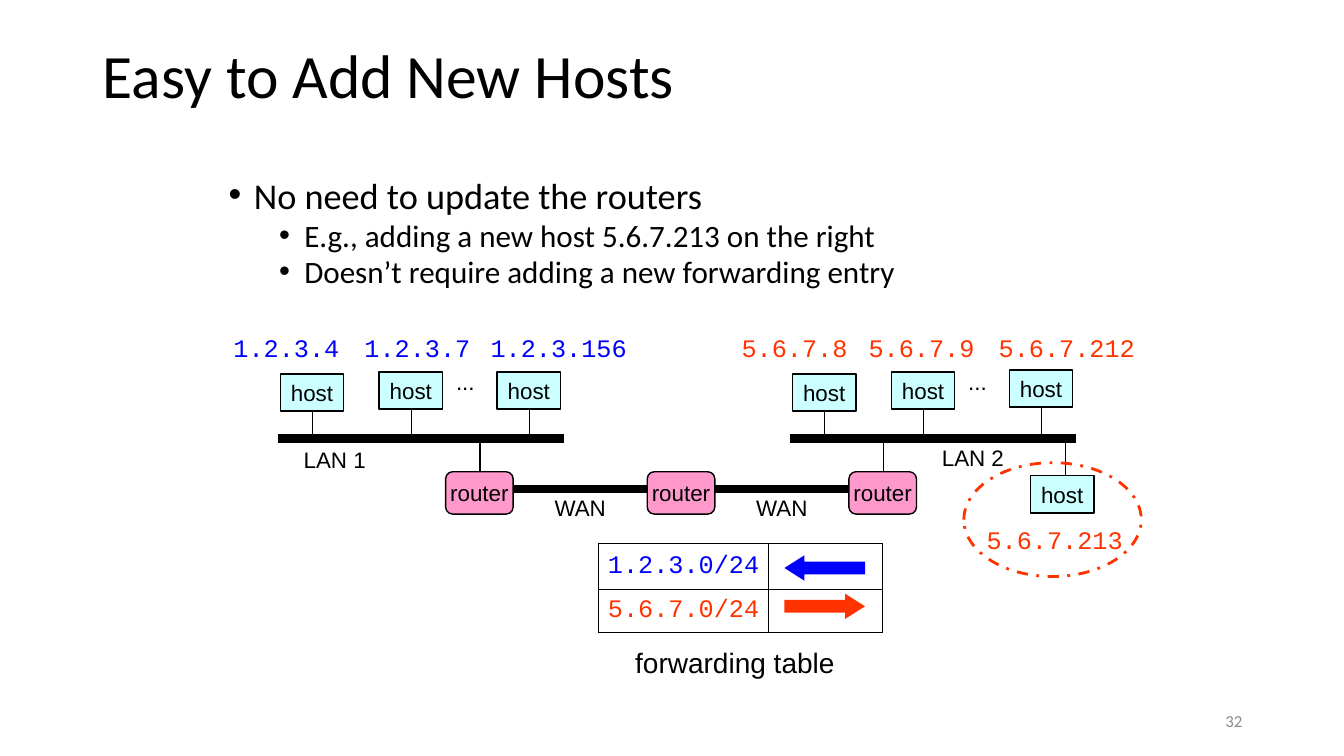
from lxml import etree
from pptx import Presentation
from pptx.dml.color import RGBColor
from pptx.enum.dml import MSO_LINE
from pptx.enum.shapes import MSO_CONNECTOR, MSO_SHAPE as SHAPE
from pptx.enum.text import MSO_ANCHOR as ANCHOR, PP_ALIGN as ALIGN
from pptx.oxml import parse_xml
from pptx.oxml.ns import nsdecls, qn
from pptx.util import Inches, Pt

COLORS = {
    "text": "000000", "number": "8C8C8C", "host": "CCFFFF",
    "router": "FF99CC", "left": "0000FF", "right": "FF3300",
}
HOST_W, HOST_H = 0.63, 0.37
ROUTER_W, ROUTER_H = 0.67, 0.42


def color(name):
    return RGBColor.from_string(COLORS[name])


def style(p, size, font="Arial", ink="text", align=ALIGN.CENTER):
    p.alignment = align
    p.font.size = Pt(size)
    p.font.name = font
    p.font.color.rgb = color(ink)


def add_text(slide, text, x, y, w, h, size=16, font="Arial", ink="text",
             align=ALIGN.CENTER, anchor=ANCHOR.MIDDLE):
    tf = slide.shapes.add_textbox(Inches(x), Inches(y), Inches(w), Inches(h)).text_frame
    tf.word_wrap = False
    tf.vertical_anchor = anchor
    tf.text = text
    style(tf.paragraphs[0], size, font, ink, align)


def add_address(slide, text, center, y, ink):
    w = 0.2 + 0.15 * len(text)
    add_text(slide, text, center - w / 2, y, w, 0.4, 18, "Courier New", ink,
             anchor=ANCHOR.TOP)


def add_line(slide, x1, y1, x2, y2, width=1):
    line = slide.shapes.add_connector(
        MSO_CONNECTOR.STRAIGHT, Inches(x1), Inches(y1), Inches(x2), Inches(y2))
    line.line.color.rgb = color("text")
    line.line.width = Pt(width)
    etree.SubElement(line._element.spPr, qn("a:effectLst"))


def add_shape(slide, kind, x, y, w, h, fill=None, outline=None, width=1):
    sp = slide.shapes.add_shape(kind, Inches(x), Inches(y), Inches(w), Inches(h))
    sp.shadow.inherit = False
    if fill:
        sp.fill.solid()
        sp.fill.fore_color.rgb = color(fill)
    else:
        sp.fill.background()
    if outline:
        sp.line.color.rgb = color(outline)
        sp.line.width = Pt(width)
    else:
        sp.line.fill.background()
    return sp


def add_node(slide, kind, text, x, y, w, h):
    """Add a labelled network device, filled with the colour of its name."""
    sp = add_shape(slide, kind, x, y, w, h, text, "text")
    tf = sp.text_frame
    tf.word_wrap = False
    tf.vertical_anchor = ANCHOR.MIDDLE
    tf.text = text
    style(tf.paragraphs[0], 16)


def add_host(slide, x, y):
    add_node(slide, SHAPE.RECTANGLE, "host", x, y, HOST_W, HOST_H)


def add_title(slide, x, y, w, h):
    title = slide.shapes.title
    title.left, title.top, title.width, title.height = map(Inches, (x, y, w, h))
    tf = title.text_frame
    tf.vertical_anchor = ANCHOR.TOP
    tf.text = "Easy to Add New Hosts"
    style(tf.paragraphs[0], 44, "Calibri", align=ALIGN.LEFT)
    tf.paragraphs[0].line_spacing = 0.9


def add_bullets(slide, x, y, w, h):
    tf = slide.shapes.add_textbox(Inches(x), Inches(y), Inches(w), Inches(h)).text_frame
    tf.word_wrap = True
    items = [
        (0, "No need to update the routers"),
        (1, "E.g., adding a new host 5.6.7.213 on the right"),
        (1, "Doesn’t require adding a new forwarding entry"),
    ]
    for i, (level, text) in enumerate(items):
        p = tf.add_paragraph() if i else tf.paragraphs[0]
        p.text = text
        p.level = level
        style(p, (25.9, 22.2)[level], "Calibri", align=ALIGN.LEFT)
        p.line_spacing = 0.8
        p.space_before = Pt((10, 5)[level])
        pPr = p._p.get_or_add_pPr()
        pPr.set("marL", str(Inches(0.25 + 0.5 * level)))
        pPr.set("indent", str(Inches(-0.25)))
        bullet = [parse_xml(f'<a:buFont {nsdecls("a")} typeface="Arial"/>'),
                  parse_xml(f'<a:buChar {nsdecls("a")} char="•"/>')]
        pPr.find(qn("a:defRPr")).addprevious(bullet[0])
        bullet[0].addnext(bullet[1])


def add_lan(slide, x, y, name, name_at, hosts, ink):
    """Draw a LAN whose addresses start at y; hosts are (address, centre, top)."""
    bus = y + 1.1
    add_line(slide, x, bus, x + 2.83, bus, 6)
    for (address, center, top), host_x in zip(hosts, (0.02, 1, 2.17)):
        add_line(slide, x + host_x + 0.32, y + 0.77, x + host_x + 0.32, bus)
        add_host(slide, x + host_x, y + top)
        add_address(slide, address, x + center, y, ink)
    add_text(slide, name, x + name_at[0], y + name_at[1], 0.84, 0.37)
    add_text(slide, "...", x + 1.66, y + 0.35, 0.39, 0.37)


def add_wan(slide, x, y, gap):
    """Draw three routers in a row, with the outer two joined to the LANs above."""
    for i in range(3):
        left = x + i * gap
        if i != 1:
            add_line(slide, left + 0.34, y - 0.33, left + 0.34, y)
        if i < 2:
            add_line(slide, left + ROUTER_W, y + 0.17, left + gap, y + 0.17, 6)
            add_text(slide, "WAN", left + 0.97, y + 0.17, 0.73, 0.37)
        add_node(slide, SHAPE.ROUNDED_RECTANGLE, "router", left, y, ROUTER_W, ROUTER_H)


def add_border(cell):
    tcPr = cell._tc.get_or_add_tcPr()
    for i, side in enumerate(("lnL", "lnR", "lnT", "lnB")):
        tcPr.insert(i, parse_xml(
            f'<a:{side} {nsdecls("a")} w="{Pt(0.75)}"><a:solidFill>'
            f'<a:srgbClr val="{COLORS["text"]}"/></a:solidFill></a:{side}>'))


def add_forwarding_table(slide, x, y, w, h):
    table = slide.shapes.add_table(
        2, 2, Inches(x), Inches(y), Inches(w), Inches(h)).table
    table.first_row = table.horz_banding = False
    for column, width in zip(table.columns, (1.68, w - 1.68)):
        column.width = Inches(width)
    for row, height in zip(table.rows, (0.46, h - 0.46)):
        row.height = Inches(height)
    routes = [("1.2.3.0/24", "left", SHAPE.LEFT_ARROW, 0.12),
              ("5.6.7.0/24", "right", SHAPE.RIGHT_ARROW, 0.5)]
    for row, (prefix, ink, kind, arrow_y) in enumerate(routes):
        for cell in table.rows[row].cells:
            cell.fill.background()
            cell.margin_left = cell.margin_right = 0
            cell.vertical_anchor = ANCHOR.MIDDLE
            add_border(cell)
        cell = table.cell(row, 0)
        cell.text = prefix
        style(cell.text_frame.paragraphs[0], 18, "Courier New", ink)
        arrow = add_shape(slide, kind, x + 1.84, y + arrow_y, 0.8, 0.25, ink)
        arrow.adjustments[1] = 0.79
    add_text(slide, "forwarding table", x + 0.25, y + h + 0.08, 2.2, 0.44, 20,
             anchor=ANCHOR.TOP)


def add_new_host(slide, x, y, w, h):
    add_line(slide, x + 1.01, y - 0.21, x + 1.01, y + 0.12)
    add_host(slide, x + 0.66, y + 0.13)
    add_address(slide, "5.6.7.213", x + 0.9, y + 0.56, "right")
    ring = add_shape(slide, SHAPE.OVAL, x, y, w, h, outline="right", width=2)
    ring.line.dash_style = MSO_LINE.DASH_DOT


def main():
    prs = Presentation()
    prs.slide_width, prs.slide_height = Inches(13.33), Inches(7.5)
    slide = prs.slides.add_slide(prs.slide_layouts[5])
    add_title(slide, 0.92, 0.4, 11.5, 1.45)
    add_bullets(slide, 2.17, 1.75, 9, 1.23)
    add_lan(slide, 2.76, 3.25, "LAN 1", (0.14, 1.12),
            [("1.2.3.4", 0.08, 0.46), ("1.2.3.7", 1.38, 0.44),
             ("1.2.3.156", 2.78, 0.44)], "left")
    add_lan(slide, 7.84, 3.25, "LAN 2", (1.39, 1.1),
            [("5.6.7.8", 0.04, 0.46), ("5.6.7.9", 1.3, 0.44),
             ("5.6.7.212", 2.74, 0.42)], "right")
    add_wan(slide, 4.42, 4.68, 2)
    add_forwarding_table(slide, 5.94, 5.39, 2.81, 0.88)
    add_new_host(slide, 9.56, 4.59, 1.76, 1.13)
    add_text(slide, "32", 9.42, 6.95, 3, 0.4, 12, "Calibri", "number", ALIGN.RIGHT)
    prs.save("out.pptx")


if __name__ == "__main__":
    main()
